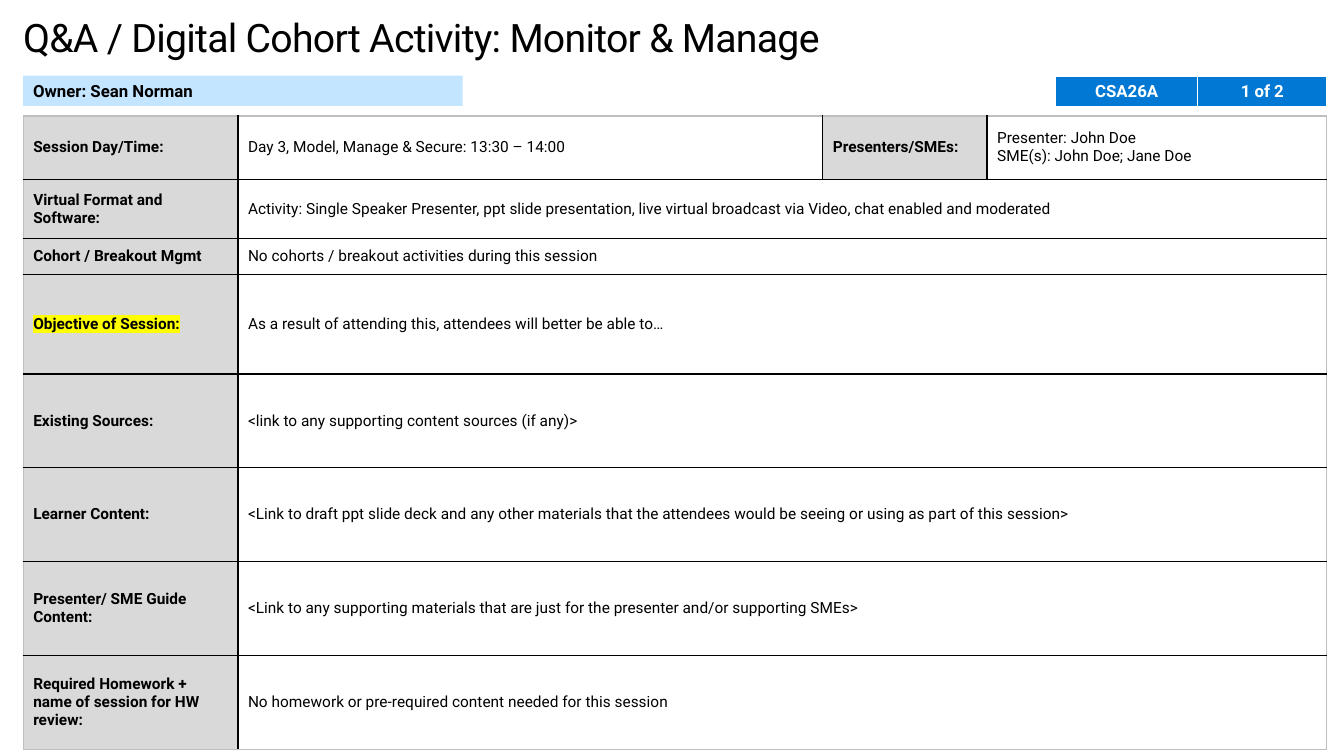
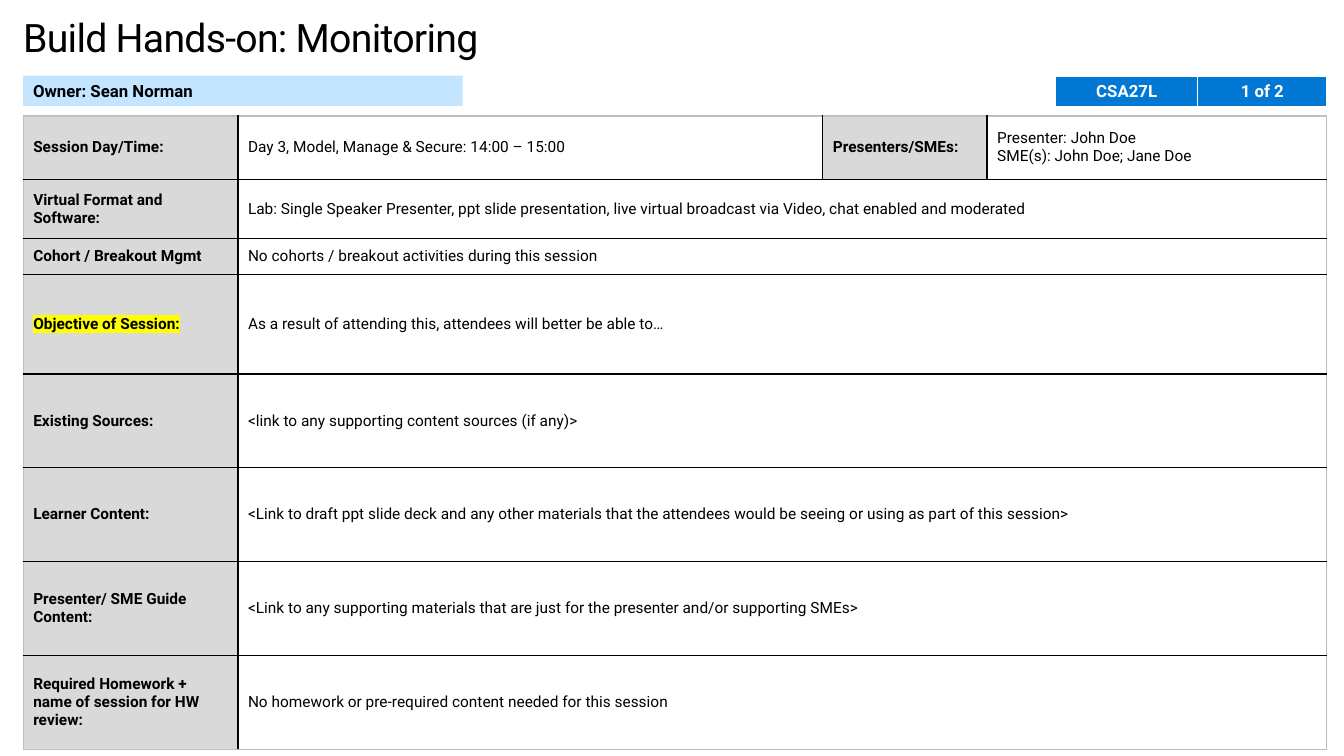
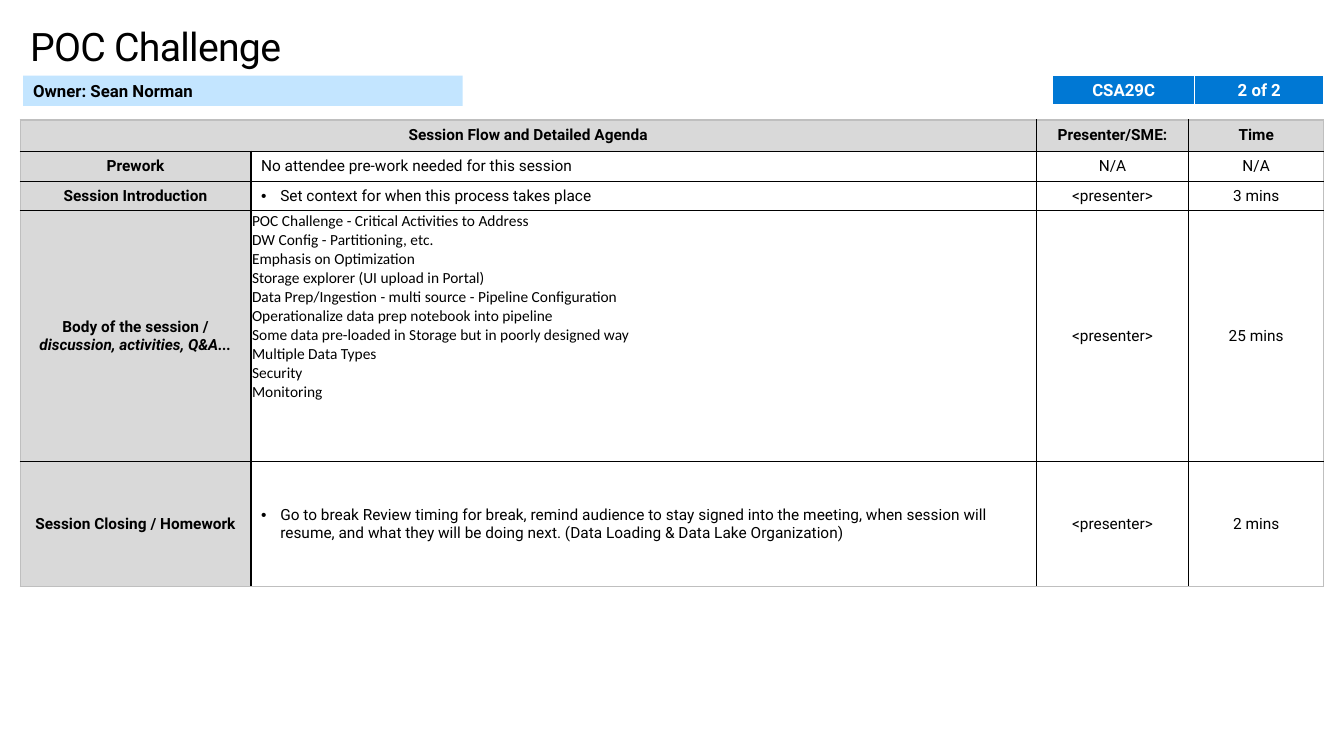
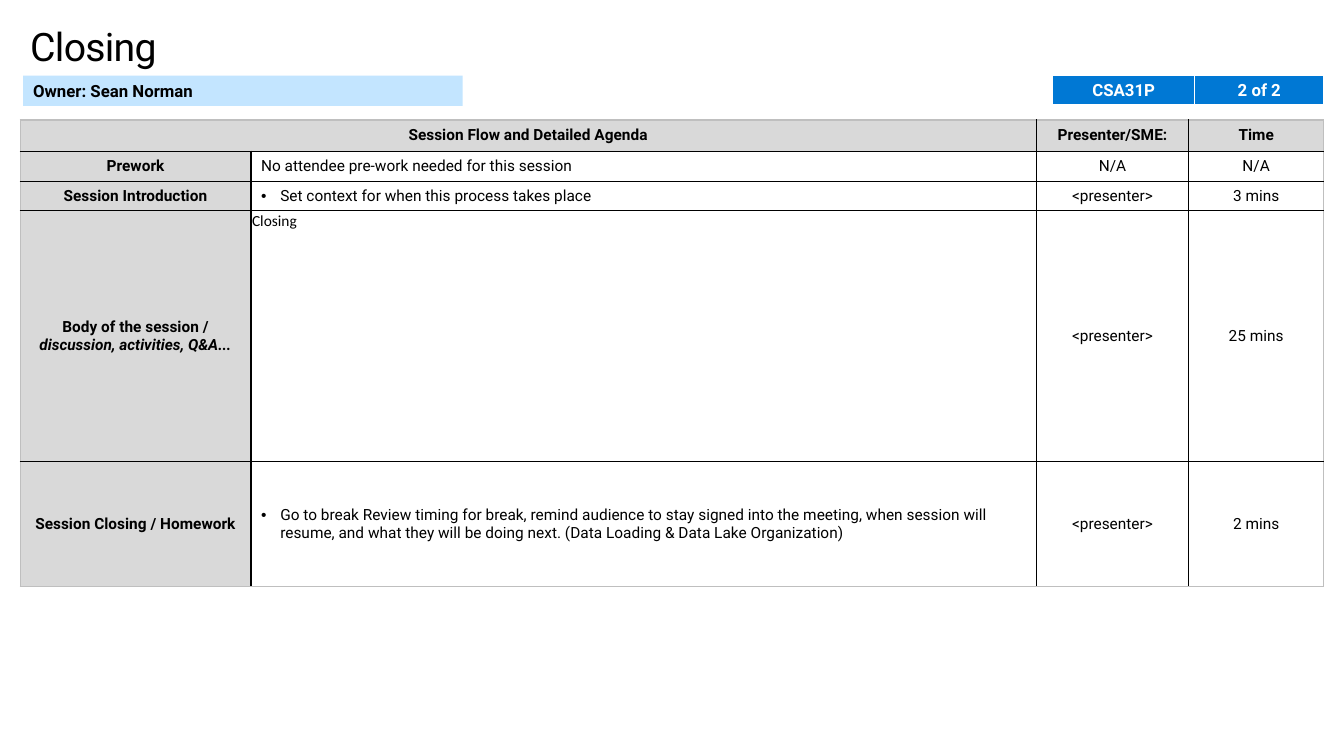
from dataclasses import dataclass

from lxml import etree
from pptx import Presentation
from pptx import util as u
from pptx.dml.color import RGBColor
from pptx.enum import shapes, text
from pptx.oxml.ns import qn

PX = 9144
LEFT, MID = text.PP_ALIGN.LEFT, text.PP_ALIGN.CENTER


@dataclass(frozen=True)
class Theme:
    font: str = "Roboto"
    plain: str = "Calibri"
    ink: str = "000000"
    paper: str = "FFFFFF"
    head: str = "D9D9D9"
    edge: str = "BFBFBF"
    sky: str = "C3E5FF"
    blue: str = "0078D4"
    mark: str = "FFFF00"
    title: int = 28
    label: int = 12
    cell: int = 11


T = Theme()
OWNER = "Owner: Sean Norman"


def px(*nums):
    return [u.Emu(n * PX) for n in nums]


def rgb(code):
    return RGBColor.from_string(code)


def paint(thing, code):
    thing.fill.solid()
    thing.fill.fore_color.rgb = rgb(code)


def node(parent, tag, **attrs):
    return etree.SubElement(parent, qn(tag), **attrs)


def write(frame, lines, size=T.cell, bold=False, align=LEFT, ink=T.ink,
          font=T.font, bullet=False):
    frame.word_wrap = True
    frame.text = "\n".join(lines)
    for para in frame.paragraphs:
        para.alignment = align
        if bullet:
            props = para._p.get_or_add_pPr()
            props.set("marL", str(19 * PX))
            props.set("indent", str(-19 * PX))
            node(props, "a:buFont", typeface="Arial")
            node(props, "a:buChar", char="•")
        para.font.size = u.Pt(size)
        para.font.name = font
        para.font.bold = bold
        para.font.color.rgb = rgb(ink)


def inset(item, left, top, right, foot):
    (item.margin_left, item.margin_top,
     item.margin_right, item.margin_bottom) = px(left, top, right, foot)


def rule(cell, side, code, width=1):
    line = node(cell._tc.get_or_add_tcPr(), "a:ln" + side,
                w=str(u.Pt(width)))
    fill = node(line, "a:solidFill")
    node(fill, "a:srgbClr", val=code)


def table(slide, box, cols, rows):
    grid = slide.shapes.add_table(len(rows), len(cols), *px(*box)).table
    grid.first_row = grid.horz_banding = False
    for col, wide in zip(grid.columns, px(*cols)):
        col.width = wide
    for row, high in zip(grid.rows, px(*rows)):
        row.height = high
    return grid


def dress(grid, heads):
    wide, high = len(grid.columns), len(grid.rows)
    for r in range(high):
        for c in range(wide):
            cell = grid.cell(r, c)
            last = c + (cell.span_width if cell.is_merge_origin else 1)
            outer = {"L": c == 0, "R": last == wide,
                     "T": r == 0, "B": r == high - 1}
            for side, out in outer.items():
                rule(cell, side, T.edge if out else T.ink)
            paint(cell, T.head if (r, c) in heads else T.paper)
            cell.vertical_anchor = text.MSO_ANCHOR.MIDDLE


def title(slide, box, words):
    frame = slide.shapes.add_textbox(*px(*box)).text_frame
    inset(frame, 0, 0, 0, 0)
    write(frame, [words], T.title)
    frame.paragraphs[0].runs[0]._r.get_or_add_rPr().set("spc", "-50")


def owner(slide, box):
    bar = slide.shapes.add_shape(shapes.MSO_SHAPE.RECTANGLE, *px(*box))
    bar.shadow.inherit = False
    bar.line.fill.background()
    paint(bar, T.sky)
    bar.text_frame.vertical_anchor = text.MSO_ANCHOR.MIDDLE
    write(bar.text_frame, [OWNER], T.label, True)


def chips(slide, box, words):
    grid = table(slide, box, (141, 128), box[3:])
    for cell, word in zip(grid.iter_cells(), words):
        for side in "LRTB":
            rule(cell, side, T.paper, 3 if side == "B" else 1)
        paint(cell, T.blue)
        write(cell.text_frame, [word], T.label, True, MID, T.paper)


def facts(slide, box, time, form):
    rows = (
        ("Session Day/Time:", time),
        ("Virtual Format and Software:",
         form + ": Single Speaker Presenter, ppt slide presentation, live "
         "virtual broadcast via Video, chat enabled and moderated"),
        ("Cohort / Breakout Mgmt",
         "No cohorts / breakout activities during this session"),
        ("Objective of Session:",
         "As a result of attending this, attendees will better be able to…"),
        ("Existing Sources:",
         "<link to any supporting content sources (if any)>"),
        ("Learner Content:",
         "<Link to draft ppt slide deck and any other materials that the "
         "attendees would be seeing or using as part of this session>"),
        ("Presenter/ SME Guide Content:",
         "<Link to any supporting materials that are just for the presenter "
         "and/or supporting SMEs>"),
        ("Required Homework + name of session for HW review:",
         "No homework or pre-required content needed for this session"),
    )
    grid = table(slide, box, (213, 580, 163, 337),
                 (63, 59, 35, 99, 93, 93, 93, 94))
    for r, (name, body) in enumerate(rows):
        if r:
            grid.cell(r, 1).merge(grid.cell(r, 3))
        write(grid.cell(r, 0).text_frame, [name], bold=True)
        write(grid.cell(r, 1).text_frame, [body])
    write(grid.cell(0, 2).text_frame, ["Presenters/SMEs:"], bold=True)
    write(grid.cell(0, 3).text_frame,
          ["Presenter: John Doe", "SME(s): John Doe; Jane Doe"])
    dress(grid, {(r, 0) for r in range(len(rows))} | {(0, 2)})
    run = grid.cell(3, 0).text_frame.paragraphs[0].runs[0]
    light = node(run._r.get_or_add_rPr(), "a:highlight")
    node(light, "a:srgbClr", val=T.mark)


def agenda(slide, box, topics):
    rows = (
        (["Prework"], ["No attendee pre-work needed for this session"],
         "N/A", "N/A"),
        (["Session Introduction"],
         ["Set context for when this process takes place"],
         "<presenter>", "3 mins"),
        (["Body of the session /", "discussion, activities, Q&A..."], topics,
         "<presenter>", "25 mins"),
        (["Session Closing / Homework"],
         ["Go to break Review timing for break, remind audience to stay "
          "signed into the meeting, when session will resume, and what they "
          "will be doing next. (Data Loading & Data Lake Organization)"],
         "<presenter>", "2 mins"),
    )
    grid = table(slide, box, (229, 779, 151, 134), (31, 30, 29, 249, 124))
    grid.cell(0, 0).merge(grid.cell(0, 1))
    heads = {0: "Session Flow and Detailed Agenda", 2: "Presenter/SME:",
             3: "Time"}
    for c, name in heads.items():
        write(grid.cell(0, c).text_frame, [name], bold=True, align=MID)
    for r, (name, body, who, time) in enumerate(rows, 1):
        write(grid.cell(r, 0).text_frame, name, bold=True, align=MID)
        write(grid.cell(r, 1).text_frame, body, bullet=r in (2, 4),
              font=T.plain if r == 3 else T.font)
        write(grid.cell(r, 2).text_frame, [who], align=MID)
        write(grid.cell(r, 3).text_frame, [time], align=MID)
    dress(grid, {(0, c) for c in range(4)} | {(r, 0) for r in range(5)})
    grid.cell(3, 0).text_frame.paragraphs[1].font.italic = True
    main = grid.cell(3, 1)
    main.vertical_anchor = text.MSO_ANCHOR.TOP
    inset(main, 1, 1, 1, 0)


def start(deck):
    slide = deck.slides.add_slide(deck.slide_layouts[6])
    owner(slide, (23, 75, 436, 30))
    return slide


def brief(deck, name, code, time, form):
    slide = start(deck)
    title(slide, (23, 13, 1287, 47), name)
    chips(slide, (1047, 76, 269, 31), (code, "1 of 2"))
    facts(slide, (23, 115, 1293, 629),
          "Day 3, Model, Manage & Secure: " + time, form)


def flow(deck, name, code, topics):
    slide = start(deck)
    title(slide, (30, 22, 1270, 47), name)
    chips(slide, (1044, 75, 269, 30), (code, "2 of 2"))
    agenda(slide, (20, 119, 1293, 463), topics)


def main():
    deck = Presentation()
    deck.slide_width, deck.slide_height = px(1333, 750)
    brief(deck, "Q&A / Digital Cohort Activity: Monitor & Manage", "CSA26A",
          "13:30 – 14:00", "Activity")
    brief(deck, "Build Hands-on: Monitoring", "CSA27L", "14:00 – 15:00", "Lab")
    flow(deck, "POC Challenge", "CSA29C", [
        "POC Challenge - Critical Activities to Address",
        "DW Config - Partitioning, etc.",
        "Emphasis on Optimization",
        "Storage explorer (UI upload in Portal)",
        "Data Prep/Ingestion - multi source - Pipeline Configuration",
        "Operationalize data prep notebook into pipeline",
        "Some data pre-loaded in Storage but in poorly designed way",
        "Multiple Data Types",
        "Security",
        "Monitoring",
    ])
    flow(deck, "Closing", "CSA31P", ["Closing"])
    deck.save("out.pptx")


if __name__ == "__main__":
    main()
